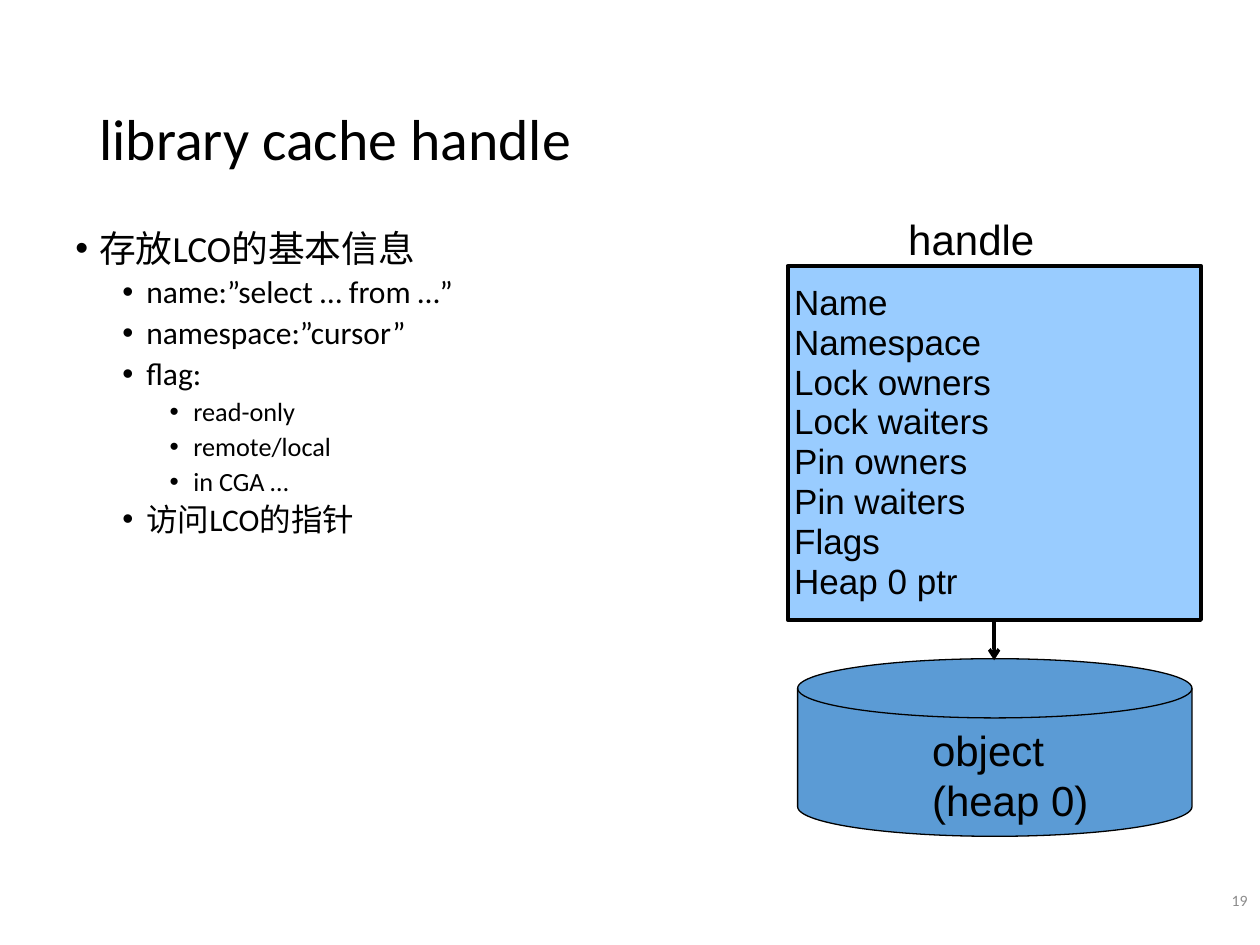
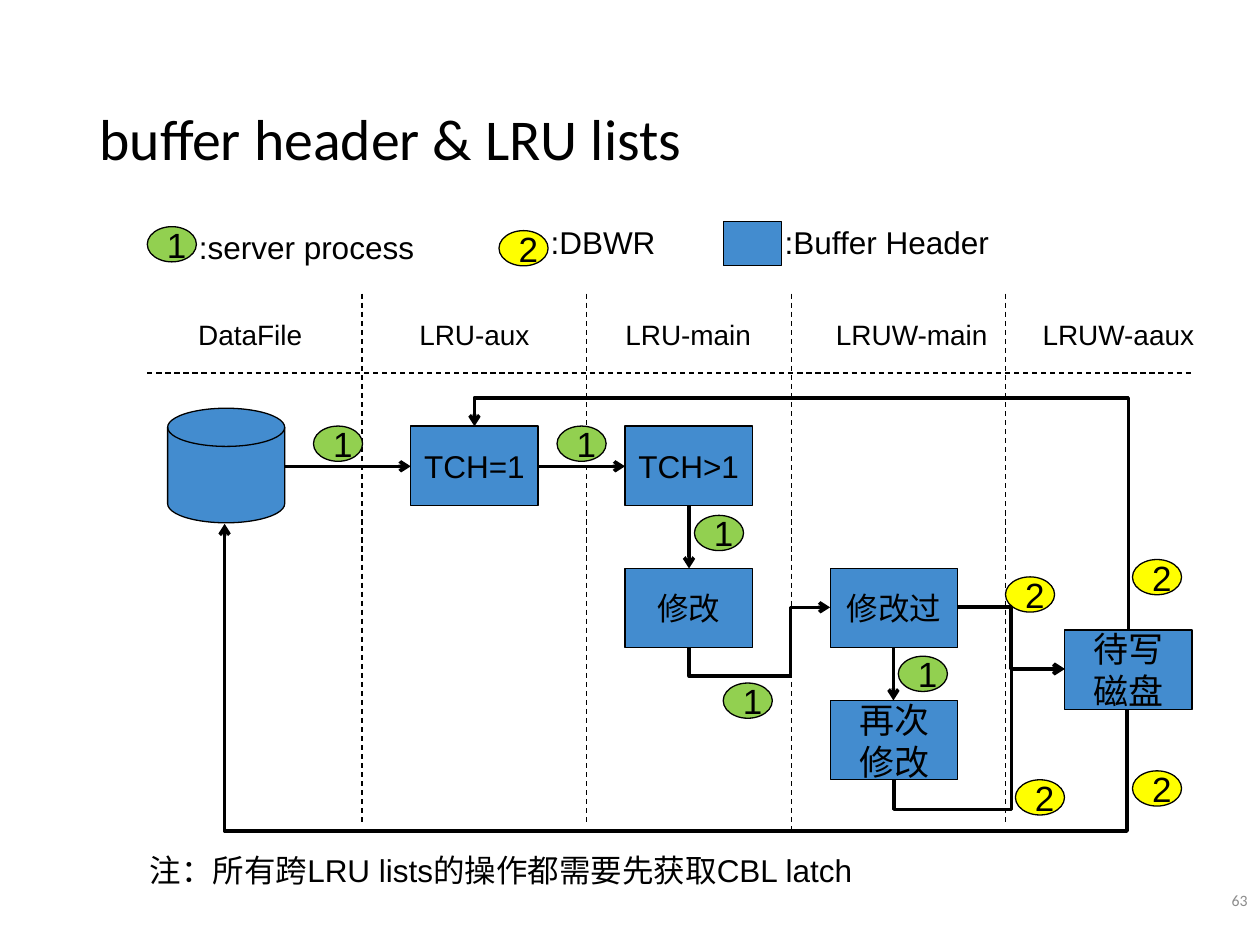
from lxml.etree import SubElement
from pptx import Presentation
from pptx.dml.color import RGBColor
from pptx.enum.dml import MSO_LINE
from pptx.enum.shapes import MSO_CONNECTOR, MSO_SHAPE
from pptx.enum.text import MSO_ANCHOR, MSO_AUTO_SIZE, PP_ALIGN
from pptx.oxml.ns import qn
from pptx.util import Cm, Pt

# Shared look
BLACK, GREY = "000000", "8C8C8C"
BLUE, SKY, STEEL = "438CCF", "99CCFF", "5B9BD5"
GREEN, YELLOW = "92D050", "FFFF00"
LEFT, MID, RIGHT = PP_ALIGN.LEFT, PP_ALIGN.CENTER, PP_ALIGN.RIGHT
RECT, OVAL = MSO_SHAPE.RECTANGLE, MSO_SHAPE.OVAL
DISK = MSO_SHAPE.FLOWCHART_MAGNETIC_DISK
color = RGBColor.from_string


def put(slide, kind, x, y, w, h, lines=(), size=18, fill=None, edge=0.75,
        align=LEFT, font="Arial", ink=BLACK, gap=1.0):
    """Add a shape, or a text box when kind is None, with its text."""
    place = Cm(x), Cm(y), Cm(w), Cm(h)
    if kind is None:
        shape = slide.shapes.add_textbox(*place)
    else:
        shape = slide.shapes.add_shape(kind, *place)
        shape.shadow.inherit = False
        shape.fill.solid()
        shape.fill.fore_color.rgb = color(fill)
        shape.line.color.rgb = color(BLACK)
        shape.line.width = Pt(edge)
    frame = shape.text_frame
    frame.word_wrap = True
    frame.vertical_anchor = MSO_ANCHOR.MIDDLE if kind else MSO_ANCHOR.TOP
    for i, line in enumerate(lines):
        para = frame.paragraphs[0] if i == 0 else frame.add_paragraph()
        para.alignment = align
        para.line_spacing = gap
        run = para.add_run()
        run.text = line
        run.font.size = Pt(size)
        run.font.name = font
        run.font.color.rgb = color(ink)
    return shape


def link(slide, x, y, w, h, turn=0, flip="", bends=(), dash=False):
    """Add a dashed rule or an arrow; bends makes the arrow an elbow."""
    line = slide.shapes.add_connector(
        MSO_CONNECTOR.STRAIGHT, Cm(x), Cm(y), Cm(x + w), Cm(y + h))
    line.line.color.rgb = color(BLACK)
    line.line.width = Pt(0.75 if dash else 2)
    props = line._element.spPr
    if dash:
        line.line.dash_style = MSO_LINE.DASH
    else:
        SubElement(props.find(qn("a:ln")), qn("a:tailEnd"), type="arrow")
    SubElement(props, qn("a:effectLst"))
    if bends:
        frame = props.find(qn("a:xfrm"))
        frame.set("rot", str(turn * 60000))
        for axis in flip:
            frame.set("flip" + axis, "1")
        geom = props.find(qn("a:prstGeom"))
        geom.set("prst", f"bentConnector{len(bends) + 2}")
        for i, bend in enumerate(bends, 1):
            SubElement(geom.find(qn("a:avLst")), qn("a:gd"),
                       name=f"adj{i}", fmla=f"val {round(bend * 100000)}")


deck = Presentation()
deck.slide_width, deck.slide_height = Cm(25.4), Cm(19.05)

# Titles and page numbers
slides = []
for head, page in (("library cache handle", "19"),
                   ("buffer header & LRU lists", "63")):
    slide = deck.slides.add_slide(deck.slide_layouts[5])
    slides.append(slide)
    title = slide.shapes.title
    title.left, title.top = Cm(1.75), Cm(1.02)
    title.width, title.height = Cm(21.89), Cm(3.68)
    title.text_frame.auto_size = MSO_AUTO_SIZE.NONE
    title.text_frame.vertical_anchor = MSO_ANCHOR.MIDDLE
    para = title.text_frame.paragraphs[0]
    para.alignment = LEFT
    para.line_spacing = 0.9
    run = para.add_run()
    run.text = head
    run.font.size = Pt(33)
    run.font.name = "Calibri"
    run.font.color.rgb = color(BLACK)
    foot = put(slide, None, 19.48, 17.78, 5.92, 0.74, [page], 9,
               align=RIGHT, font="Calibri", ink=GREY)
    foot.text_frame.vertical_anchor = MSO_ANCHOR.MIDDLE
first, second = slides

# Slide 1: bullet list
points = [
    (0, "存放LCO的基本信息"),
    (1, "name:”select … from …”"),
    (1, "namespace:”cursor”"),
    (1, "flag:"),
    (2, "read-only"),
    (2, "remote/local"),
    (2, "in CGA …"),
    (1, "访问LCO的指针"),
]
body = put(first, None, 1.27, 4.52, 17.37, 12.55,
           [text for _, text in points], font="Calibri", gap=0.9)
for i, (level, _) in enumerate(points):
    para = body.text_frame.paragraphs[i]
    para.level = level
    para.space_before = Pt(3.8 if i else 0)
    props = para._p.get_or_add_pPr()
    props.set("marL", str(Cm(0.48 + 0.95 * level)))
    props.set("indent", str(-Cm(0.48)))
    SubElement(props, qn("a:buFont"), typeface="Arial")
    SubElement(props, qn("a:buChar"), char="•")
    para.runs[0].font.size = Pt(21 - 3 * level)

# Slide 1: handle and the object it points to
put(first, DISK, 16.08, 13.28, 7.95, 3.58, fill=STEEL)
fields = ["Name", "Namespace", "Lock owners", "Lock waiters",
          "Pin owners", "Pin waiters", "Flags", "Heap 0 ptr"]
frame = put(first, RECT, 15.88, 5.36, 8.33, 7.14, fields, 20, SKY,
            edge=2.25, gap=0.95).text_frame
frame.word_wrap = False
frame.margin_left = frame.margin_right = Cm(0.13)
label = put(first, None, 18.54, 14.48, 3.71, 2.31, ["object", "(heap 0)"], 24)
label.text_frame.word_wrap = False
link(first, 20.04, 12.5, 0, 0.81)
put(first, None, 18.06, 4.17, 4.37, 1.3, ["handle"], 24)

# Slide 2: dashed grid and column heads
for x, tall in ((7.3, 10.69), (11.82, 10.69), (15.95, 10.87), (20.27, 10.69)):
    link(second, x, 5.92, 0, tall, dash=True)
link(second, 2.97, 7.52, 21.03, 0, dash=True)
for text, x, wide in (("DataFile", 3.18, 3.73), ("LRU-aux", 7.7, 3.73),
                      ("LRU-main", 12.01, 3.73), ("LRUW-main", 16.36, 4.04),
                      ("LRUW-aaux", 20.68, 3.73)):
    put(second, None, x, 6.27, wide, 0.94, [text], 16, align=MID)

# Slide 2: data file and buffer headers
put(second, DISK, 3.38, 8.23, 2.36, 2.31, fill=BLUE)
for text, x, y, size in (("TCH=1", 8.28, 8.59, 18), ("TCH>1", 12.6, 8.59, 18),
                         ("修改", 12.6, 11.46, 18), ("修改过", 16.74, 11.46, 18),
                         ("再次修改", 16.74, 14.12, 20),
                         ("待写磁盘", 21.46, 12.7, 20)):
    put(second, RECT, x, y, 2.57, 1.6, [text], size, BLUE, align=MID)

# Slide 2: straight arrows, then elbows (frame, turn, flip, bends)
for x, y, w, h in ((5.74, 9.4, 2.54, 0), (10.85, 9.4, 1.75, 0),
                   (13.89, 10.2, 0, 1.26), (18.01, 13.06, 0, 1.06)):
    link(second, x, y, w, h)
for elbow in ((14.1, 4.06, 4.11, 13.18, 270, "V", (1.14,)),
              (18.62, 12.9, 2.24, 3.43, 90, "HV", (-0.26, 0.69)),
              (14.91, 11.23, 0.81, 2.84, 90, "HV", (-0.71, 0.72)),
              (11.76, 3.33, 3.73, 18.19, 90, "H", (-0.66,)),
              (19.3, 12.24, 2.16, 1.24, 0, "", (0.5,))):
    link(second, *elbow)

# Slide 2: legend and note
for text, x, y, wide in (
        (":server process", 3.76, 4.47, 5.92),
        (":DBWR", 10.85, 4.37, 5.11),
        (":Buffer Header", 15.57, 4.37, 6.17),
        ("注：所有跨LRU lists的操作都需要先获取CBL latch", 2.77, 17.04, 14.68)):
    put(second, None, x, y, wide, 1.02, [text])
put(second, RECT, 14.58, 4.47, 1.17, 0.89, fill=BLUE)

# Slide 2: process marks, the first of each in the legend
marks = {
    ("1", GREEN): [(2.97, 4.57), (6.32, 8.59), (11.23, 8.59), (14, 10.39),
                   (14.58, 13.77), (18.11, 13.23)],
    ("2", YELLOW): [(10.06, 4.65), (20.47, 15.72), (22.83, 15.54),
                    (22.83, 11.28), (20.27, 11.63)],
}
for (digit, fill), spots in marks.items():
    for x, y in spots:
        put(second, OVAL, x, y, 0.99, 0.71, [digit], 20, fill, align=MID)

deck.save("out.pptx")
